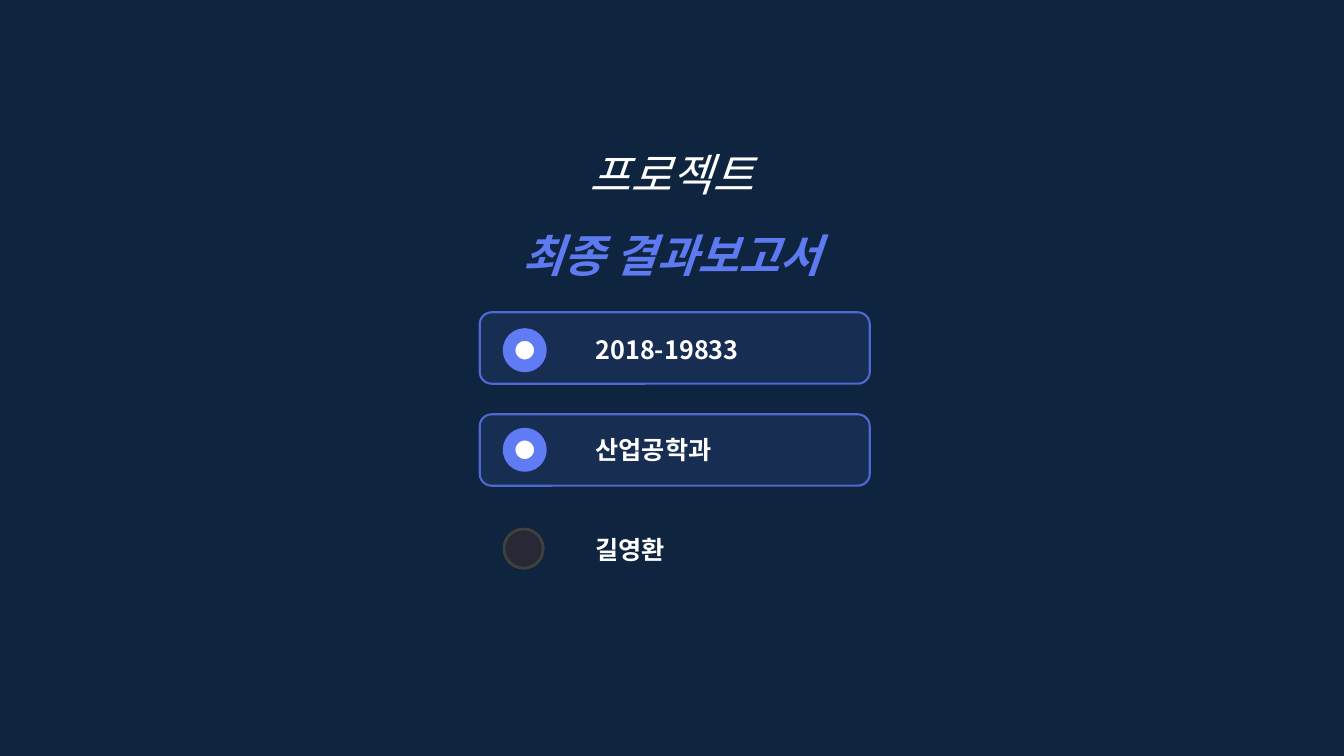
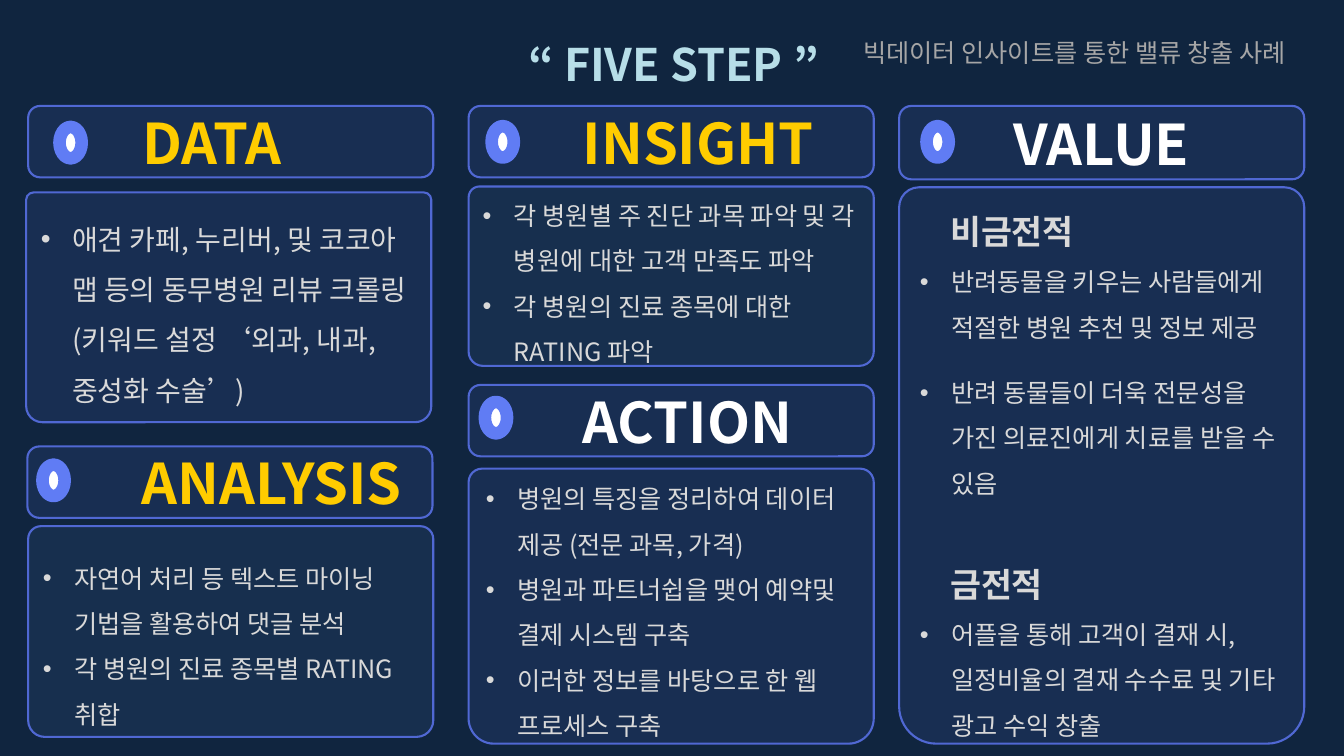
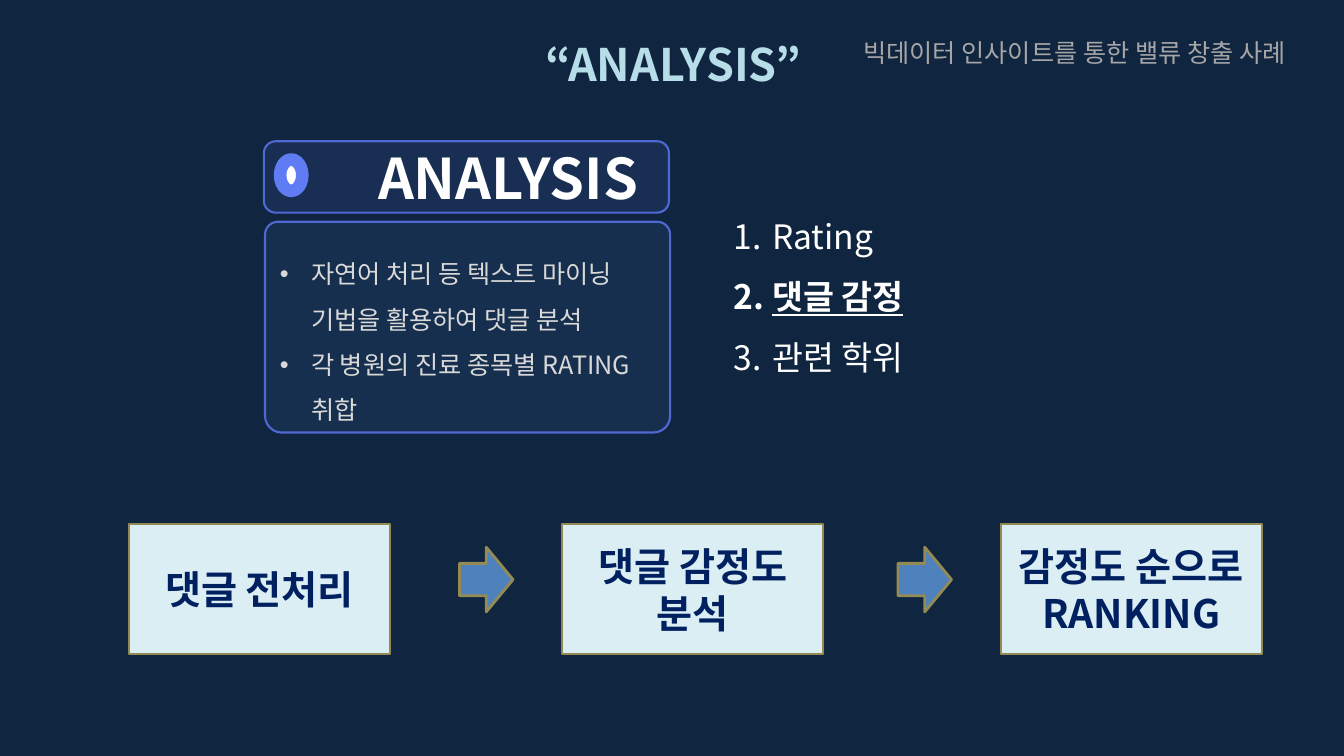
from lxml.etree import SubElement
from pptx import Presentation
from pptx.dml.color import RGBColor
from pptx.enum.shapes import MSO_SHAPE as Geo
from pptx.enum.text import MSO_ANCHOR as Anchor, PP_ALIGN as Align
from pptx.oxml.ns import qn
from pptx.util import Cm, Pt

FONT = "Noto Sans CJK KR"
WHITE, GOLD, PALE, GREY = "FFFFFF", "FFCC00", "D9D9D9", "A6A6A6"
SKY, BLUE, EDGE, MIST = "B7DEE8", "607CF4", "5068D3", "558ED5"
NIGHT, DEEP = "10253F", "0F243E"
SAND, ICE, NAVY, STEEL = "948A54", "DBEEF4", "002060", "4F81BD"
HANG = 0.79

TOPIC = "빅데이터 인사이트를 통한 밸류 창출 사례"
COVER = [("프로젝트", dict(color=WHITE)),
         ("최종 결과보고서", dict(color="5E7AF1", bold=True))]
ROWS = ["2018-19833", "산업공학과", "길영환"]


def bullets(*texts, size=18):
    return [(text, dict(size=size, mark="•", hang=HANG)) for text in texts]


def topic(text, before=0):
    return (text, dict(size=24, bold=True, left=0.76, before=before))


MINING = bullets("자연어 처리 등 텍스트 마이닝 기법을 활용하여 댓글 분석",
                 "각 병원의 진료 종목별 RATING 취합")
VALUES = [
    topic("비금전적"),
    *bullets("반려동물을 키우는 사람들에게 적절한 병원 추천 및 정보 제공"),
    ("반려 동물들이 더욱 전문성을 가진 의료진에게 치료를 받을 수 있음",
     dict(size=18, mark="•", hang=HANG, before=14.4)),
    topic("금전적", 32.4),
    *bullets("어플을 통해 고객이 결재 시, 일정비율의 결재 수수료 및 기타 광고 수익 창출"),
]

# Corner radii of a body box: top pair, bottom pair
SOFT, ROUND, SLIM = (0.061, 0.079), (0.049, 0.092), (0.032, 0.07)
# head: left, top, height; ring: offset from head; body: left, top, height
CARDS = [
    dict(name="DATA", color=GOLD, head=(0.71, 2.67, 1.8), ring=(0.79, 0.53),
         body=(0.66, 4.85, 5.79), radii=SLIM,
         lines=bullets("애견 카페, 누리버, 및 코코아 맵 등의 동무병원 리뷰 "
                       "크롤링(키워드 설정 ‘외과, 내과, 중성화 수술’)", size=20)),
    dict(name="ANALYSIS", color=GOLD, head=(0.69, 11.25, 1.8),
         ring=(0.38, 0.46), body=(0.71, 13.26, 5.31), radii=SOFT, tint=MIST,
         lines=MINING, drop=0.38),
    dict(name="INSIGHT", color=GOLD, head=(11.81, 2.67, 1.8),
         ring=(0.58, 0.51), body=(11.81, 4.7, 4.52), radii=SOFT, tint=MIST,
         lines=bullets("각 병원별 주 진단 과목 파악 및 각 병원에 대한 고객 만족도 파악",
                       "각 병원의 진료 종목에 대한 RATING 파악")),
    dict(name="ACTION", head=(11.81, 9.7, 1.8), ring=(0.41, 0.43),
         body=(11.81, 11.81, 6.93), radii=ROUND,
         lines=bullets("병원의 특징을 정리하여 데이터 제공 (전문 과목, 가격)",
                       "병원과 파트너쉽을 맺어 예약및 결제 시스템 구축",
                       "이러한 정보를 바탕으로 한 웹 프로세스 구축")),
    dict(name="VALUE", head=(22.66, 2.67, 1.85), ring=(0.69, 0.51),
         body=(22.66, 4.72, 14.02), radii=ROUND, lines=VALUES, drop=0.13),
]
FOCUS = dict(name="ANALYSIS", head=(6.65, 3.56, 1.8), ring=(0.41, 0.46),
             body=(6.68, 5.59, 5.31), radii=SOFT, tint=MIST, lines=MINING,
             drop=0.38)
TASKS = [("Rating", {}), ("댓글 감정", dict(bold=True, under=True)),
         ("관련 학위", {})]
STEPS = [(3.25, "댓글 전처리"), (14.17, "댓글 감정도 분석"),
         (25.22, "감정도 순으로 RANKING")]


def rgb(code):
    return RGBColor.from_string(code)


def write(par, text, size=18, color=PALE, bold=False, slant=False,
          under=False, mark=None, hang=0, left=0, before=0, space=1.5,
          align=Align.LEFT):
    """Fill one paragraph; mark is a bullet sign, or "1." for numbers."""
    par.alignment = align
    par.line_spacing = space
    if before:
        par.space_before = Pt(before)
    props = par._p.get_or_add_pPr()
    props.set("marL", str(Cm(left + hang)))
    props.set("indent", str(-Cm(hang)))
    if mark == "1.":
        SubElement(props, qn("a:buAutoNum"), type="arabicPeriod")
    elif mark:
        SubElement(props, qn("a:buFont"), typeface="Arial")
        SubElement(props, qn("a:buChar"), char=mark)
    run = par.add_run()
    run.text = text
    font = run.font
    font.name, font.size, font.bold = FONT, Pt(size), bold
    font.italic, font.underline = slant, under
    font.color.rgb = rgb(color)
    SubElement(run._r.get_or_add_rPr(), qn("a:ea"), typeface=FONT)


def fill_text(frame, lines, **base):
    for i, (text, style) in enumerate(lines):
        par = frame.add_paragraph() if i else frame.paragraphs[0]
        write(par, text, **{**base, **style})


def add_text(slide, box, lines, wrap=True, **base):
    frame = slide.shapes.add_textbox(*map(Cm, box)).text_frame
    frame.word_wrap = wrap
    fill_text(frame, lines, **base)


def add_shape(slide, geo, box, fill, line, width, alpha=None, radii=()):
    shape = slide.shapes.add_shape(geo, *map(Cm, box))
    shape.shadow.inherit = False
    shape.fill.solid()
    shape.fill.fore_color.rgb = rgb(fill)
    if alpha:
        tone = shape._element.spPr.find(qn("a:solidFill"))[0]
        SubElement(tone, qn("a:alpha"), val=str(alpha * 1000))
    shape.line.color.rgb = rgb(line)
    shape.line.width = Pt(width)
    for i, size in enumerate(radii):
        shape.adjustments[i] = size
    shape.text_frame.word_wrap = True
    shape.text_frame.vertical_anchor = Anchor.MIDDLE
    return shape


def add_panel(slide, box):
    return add_shape(slide, Geo.ROUNDED_RECTANGLE, box, BLUE, EDGE, 1.5, 11)


def add_ring(slide, left, top, width=0.56):
    add_shape(slide, Geo.OVAL, (left, top, width, 0.79), WHITE, BLUE, 9)


def add_card(slide, name, head, ring, body, radii, lines, color=WHITE,
             tint=BLUE, drop=0):
    """Draw a head with its ring and a body; drop lowers the body text."""
    wide = 10.21
    left, top, high = head
    panel = add_panel(slide, (left, top, wide, high))
    write(panel.text_frame.paragraphs[0], name, size=40, color=color,
          bold=True, left=2.54, space=1)
    add_ring(slide, left + ring[0], top + ring[1])
    left, top, high = body
    shape = add_shape(slide, Geo.ROUND_2_SAME_RECTANGLE,
                      (left, top, wide, high), tint, EDGE, 1.5,
                      10 if tint == MIST else 11, radii)
    frame = shape.text_frame
    frame.margin_top = Cm(0.13 + drop)
    fill_text(frame, lines)


def add_slide(deck, back, title=None):
    slide = deck.slides.add_slide(deck.slide_layouts[6])
    slide.background.fill.solid()
    slide.background.fill.fore_color.rgb = rgb(back)
    if title:
        add_text(slide, (21.26, 0.81, 11.63, 1.02), [(TOPIC, {})], wrap=False,
                 color=GREY, align=Align.CENTER, space=1)
        add_text(slide, (10.46, 0.81, 13.03, 1.63), [(title, {})], size=32,
                 color=SKY, bold=True, align=Align.CENTER, space=1)
    return slide


def draw_cover(deck):
    slide = add_slide(deck, DEEP)
    add_text(slide, (9.27, 2.9, 15.32, 4.09), COVER, size=32, slant=True,
             align=Align.CENTER)
    for i, text in enumerate(ROWS):
        top = 8.31 + i * 2.51
        if i < 2:
            add_panel(slide, (12.09, 7.87 + i * 2.57, 9.83, 1.8))
            add_ring(slide, 12.83, top + 0.12, 0.79)
        else:
            add_shape(slide, Geo.OVAL, (12.7, top, 0.99, 0.99), "292836",
                      "404040", 2)
        add_text(slide, (14.76, top, 4.11, 1.02), [(text, {})], wrap=False,
                 color=WHITE, bold=True, space=1)


def draw_steps(deck):
    slide = add_slide(deck, NIGHT, "“ FIVE STEP ”")
    for card in CARDS:
        add_card(slide, **card)


def draw_focus(deck):
    slide = add_slide(deck, NIGHT, "“ANALYSIS”")
    add_card(slide, **FOCUS)
    add_text(slide, (18.24, 4.8, 8.51, 4.67), TASKS, size=24, color=WHITE,
             mark="1.", hang=0.97)
    for i, (left, text) in enumerate(STEPS):
        if i:
            add_shape(slide, Geo.RIGHT_ARROW, (left - 2.59, 13.79, 1.35, 1.63),
                      STEEL, SAND, 2)
        box = add_shape(slide, Geo.RECTANGLE, (left, 13.21, 6.58, 3.28), ICE,
                        SAND, 1.5)
        write(box.text_frame.paragraphs[0], text, size=28, color=NAVY,
              bold=True, align=Align.CENTER, space=1)


def main():
    deck = Presentation()
    deck.slide_width, deck.slide_height = Cm(33.87), Cm(19.05)
    for draw in (draw_cover, draw_steps, draw_focus):
        draw(deck)
    deck.save("out.pptx")


if __name__ == "__main__":
    main()
